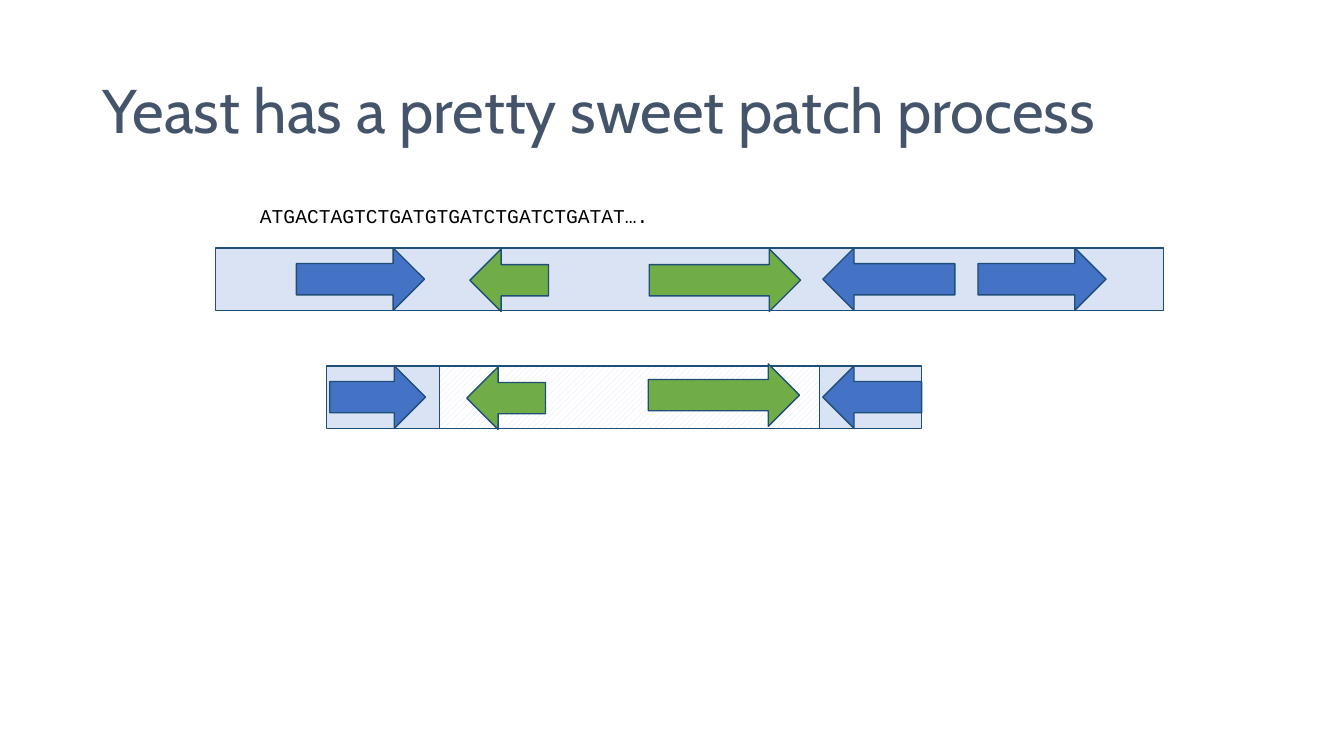
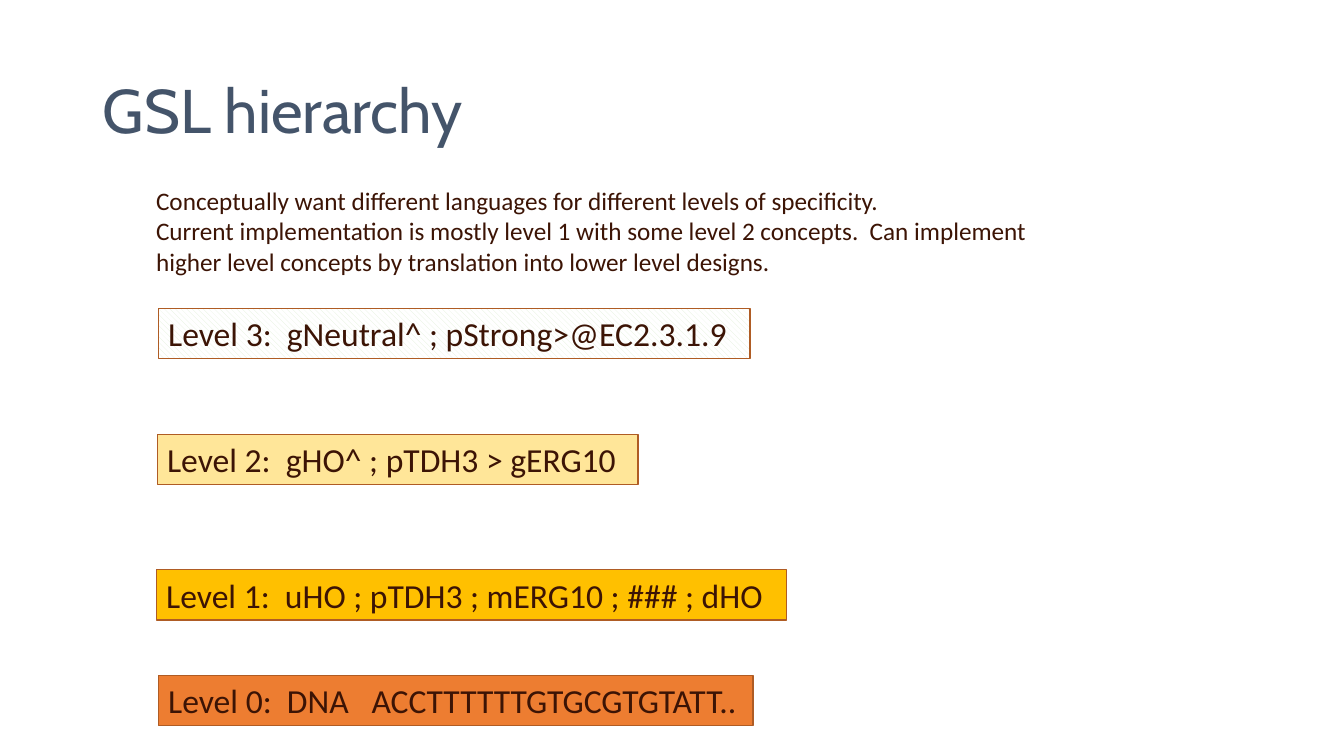
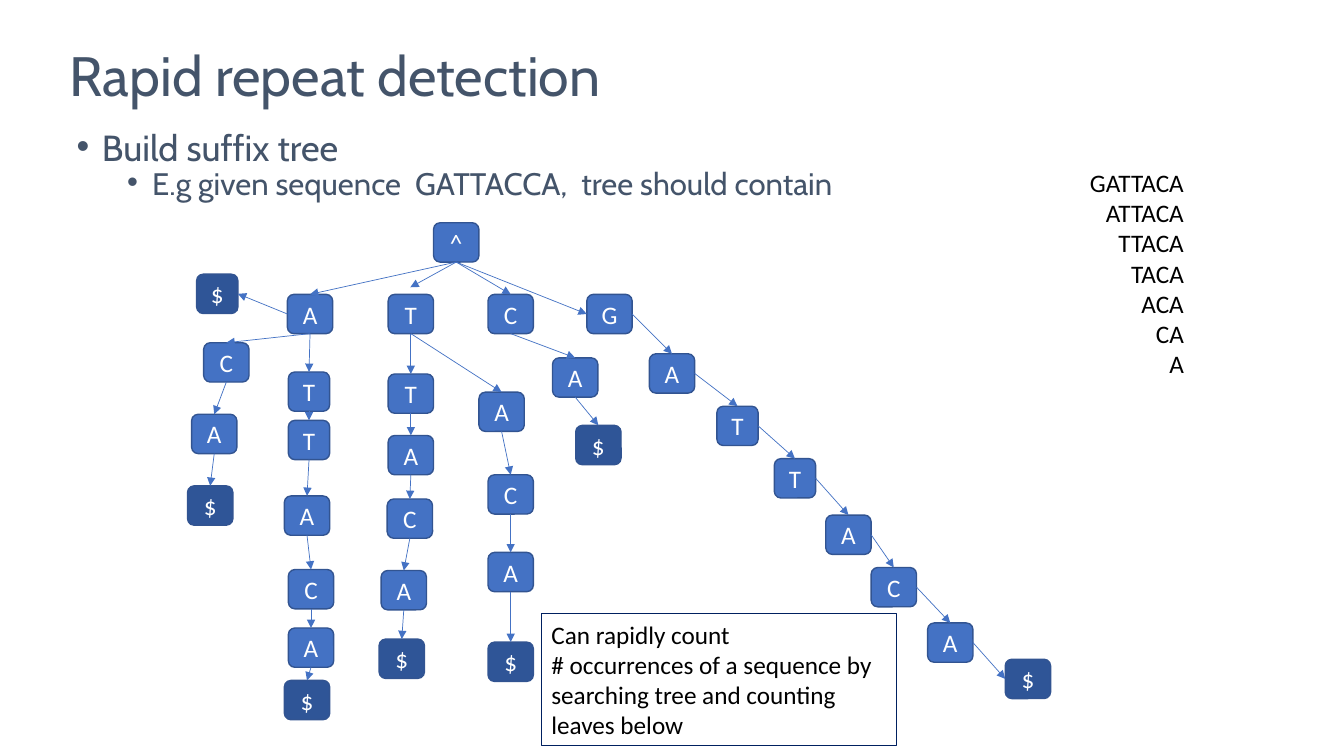
"""Build three slides on yeast patching, GSL levels and suffix trees."""
from dataclasses import dataclass

import lxml.etree
import pptx
import pptx.dml.color
import pptx.enum.dml
import pptx.enum.shapes
import pptx.enum.text
import pptx.oxml.ns
import pptx.util

Inches = pptx.util.Inches
SHAPE = pptx.enum.shapes.MSO_SHAPE
ALIGN = pptx.enum.text.PP_ALIGN
ANCHOR = pptx.enum.text.MSO_ANCHOR
PATTERN = pptx.enum.dml.MSO_PATTERN

HEADING_FONT, BODY_FONT, CODE_FONT = "Cabin", "Calibri", "Courier New"
SLATE, BLACK, WHITE, BROWN = "44546A", "000000", "FFFFFF", "3C1405"
BLUE, GREEN, PALE_BLUE, DARK_BLUE = "4472C4", "70AD47", "DAE3F3", "2F5597"
GENE_LINE, NODE_LINE, LEVEL_LINE, NOTE_LINE = "1F4E79", "325491", "AF5C24", "002060"
TOP, LEFT, BOTTOM, RIGHT = range(4)
GENE_HEIGHT = 0.62
NODE_HEIGHT = 0.39


@dataclass
class Gene:
    """An arrow on a stretch of DNA."""
    left: float
    top: float
    width: float
    color: str
    reverse: bool = False


@dataclass
class Level:
    """A labelled language level."""
    text: str
    left: float
    top: float
    width: float
    color: str
    pattern: PATTERN | None = None


@dataclass
class Node:
    """A tree node, named by the prefix that leads to it."""
    prefix: str
    left: float
    top: float
    width: float = 0.45
    leave: int = BOTTOM
    enter: int = TOP


GENES = [
    Gene(2.94, 2.46, 1.27, BLUE),
    Gene(8.16, 2.46, 1.31, BLUE, True),
    Gene(9.7, 2.46, 1.27, BLUE),
    Gene(4.66, 2.47, 0.78, GREEN, True),
    Gene(6.44, 2.47, 1.5, GREEN),
    Gene(3.27, 3.63, 0.95, BLUE),
    Gene(8.16, 3.63, 0.98, BLUE, True),
    Gene(4.63, 3.64, 0.78, GREEN, True),
    Gene(6.43, 3.61, 1.5, GREEN),
]

LEVELS = [
    Level("Level 3:  gNeutral^ ; pStrong>@EC2.3.1.9", 1.57, 3.06, 5.87, "E2F0D9",
          PATTERN.WIDE_DOWNWARD_DIAGONAL),
    Level("Level 2:  gHO^ ; pTDH3 > gERG10", 1.56, 4.31, 4.77, "FFE699"),
    Level("Level 1:  uHO ; pTDH3 ; mERG10 ; ### ; dHO", 1.55, 5.65, 6.25, "FFC000"),
    Level("Level 0:  DNA   ACCTTTTTTGTGCGTGTATT..", 1.57, 6.7, 5.9, "ED7D31"),
]

NODES = [
    Node("^", 4.3, 2.21),
    Node("^A", 2.85, 2.92),
    Node("^A$", 1.95, 2.72, 0.41, LEFT, RIGHT),
    Node("^AC", 2.02, 3.4),
    Node("^ACA", 1.9, 4.11),
    Node("^ACA$", 1.86, 4.82),
    Node("^AT", 2.86, 3.69, 0.41),
    Node("^ATT", 2.86, 4.17, 0.41),
    Node("^ATTA", 2.82, 4.92),
    Node("^ATTAC", 2.86, 5.65),
    Node("^ATTACA", 2.86, 6.23),
    Node("^ATTACA$", 2.82, 6.75),
    Node("^T", 3.85, 2.92),
    Node("^TT", 3.85, 3.71),
    Node("^TTA", 3.85, 4.32),
    Node("^TTAC", 3.84, 4.95),
    Node("^TTACA", 3.78, 5.66),
    Node("^TTACA$", 3.76, 6.34),
    Node("^TA", 4.75, 3.89),
    Node("^TAC", 4.84, 4.71),
    Node("^TACA", 4.84, 5.48),
    Node("^TACA$", 4.84, 6.37),
    Node("^C", 4.84, 2.92),
    Node("^CA", 5.48, 3.55),
    Node("^CA$", 5.71, 4.22),
    Node("^G", 5.82, 2.92, enter=LEFT),
    Node("^GA", 6.44, 3.51, leave=RIGHT),
    Node("^GAT", 7.11, 4.03, 0.41, RIGHT),
    Node("^GATT", 7.68, 4.55, 0.41, RIGHT),
    Node("^GATTA", 8.19, 5.11, leave=RIGHT),
    Node("^GATTAC", 8.64, 5.63, leave=RIGHT),
    Node("^GATTACA", 9.2, 6.18, leave=RIGHT),
    Node("^GATTACA$", 9.97, 6.54, leave=RIGHT, enter=LEFT),
]


def rgb(color: str) -> pptx.dml.color.RGBColor:
    """Turn a hex string into a colour."""
    return pptx.dml.color.RGBColor.from_string(color)


def style(p, size: float, color: str, font: str, align=ALIGN.LEFT) -> None:
    """Format a paragraph and its runs."""
    p.alignment = align
    for r in p.runs:
        r.font.size = pptx.util.Pt(size)
        r.font.name = font
        r.font.color.rgb = rgb(color)


def write(sp, text: str, size: float, color: str, font: str = BODY_FONT,
          align=ALIGN.LEFT, anchor=ANCHOR.TOP) -> None:
    """Fill a shape with uniform text."""
    tf = sp.text_frame
    tf.word_wrap = True
    tf.vertical_anchor = anchor
    tf.text = text
    for p in tf.paragraphs:
        style(p, size, color, font, align)


def place(sp, left: float, top: float, width: float, height: float) -> None:
    """Move and size a placeholder."""
    sp.left, sp.top = Inches(left), Inches(top)
    sp.width, sp.height = Inches(width), Inches(height)


def add_slide(prs, layout: int, title: str, box=(0.92, 0.4, 11.5, 1.45), size: float = 44):
    """Add a slide with the shared title style."""
    s = prs.slides.add_slide(prs.slide_layouts[layout])
    sp = s.shapes.title
    place(sp, *box)
    write(sp, title, size, SLATE, HEADING_FONT, anchor=ANCHOR.MIDDLE)
    sp.text_frame.auto_size = pptx.enum.text.MSO_AUTO_SIZE.NONE
    sp.text_frame.paragraphs[0].line_spacing = 0.9
    return s


def add_box(s, kind, left: float, top: float, width: float, height: float,
            fill: str | None, line: str, weight: float = 1, pattern=None):
    """Add a preset shape with a solid, patterned or empty fill."""
    sp = s.shapes.add_shape(kind, Inches(left), Inches(top), Inches(width), Inches(height))
    sp.shadow.inherit = False
    if fill is None:
        sp.fill.background()
    elif pattern is not None:
        sp.fill.patterned()
        sp.fill.pattern = pattern
        sp.fill.fore_color.rgb = rgb(fill)
        sp.fill.back_color.rgb = rgb(WHITE)
    else:
        sp.fill.solid()
        sp.fill.fore_color.rgb = rgb(fill)
    sp.line.color.rgb = rgb(line)
    sp.line.width = pptx.util.Pt(weight)
    return sp


def add_label(s, text: str, left: float, top: float, width: float, height: float,
              size: float, color: str, font: str = BODY_FONT, align=ALIGN.LEFT) -> None:
    """Add a plain text box."""
    sp = s.shapes.add_textbox(Inches(left), Inches(top), Inches(width), Inches(height))
    write(sp, text, size, color, font, align)


def add_edge(s, parent, child, node: Node) -> None:
    """Join a parent to its child with an arrow."""
    cx = s.shapes.add_connector(pptx.enum.shapes.MSO_CONNECTOR.STRAIGHT, 0, 0, 0, 0)
    cx.begin_connect(parent, node.leave)
    if node.prefix == "^T":
        cx.end_x, cx.end_y = Inches(4.07), Inches(2.85)
    else:
        cx.end_connect(child, node.enter)
    cx.line.color.rgb = rgb(BLUE)
    cx.line.width = pptx.util.Pt(0.5)
    qn = pptx.oxml.ns.qn
    pr = cx._element.spPr
    lxml.etree.SubElement(pr.find(qn("a:ln")), qn("a:tailEnd"), type="triangle")
    lxml.etree.SubElement(pr, qn("a:effectLst"))


def add_bullet(p, level: int, indent: float, size: float, before: float) -> None:
    """Format a paragraph as a bulleted list item."""
    p.level = level
    pr = p._p.get_or_add_pPr()
    pr.set("marL", str(Inches(indent)))
    pr.set("indent", str(Inches(-0.25)))
    lxml.etree.SubElement(pr, pptx.oxml.ns.qn("a:buChar"), char="•")
    p.line_spacing = 0.7
    p.space_before = pptx.util.Pt(before)
    style(p, size, SLATE, HEADING_FONT)


def build_patch(prs) -> None:
    """Draw the genome and the patch that replaces part of it."""
    s = add_slide(prs, 5, "Yeast has a pretty sweet patch process")
    add_label(s, "ATGACTAGTCTGATGTGATCTGATCTGATAT….", 2.48, 1.97, 4.08, 0.34, 14, BLACK, CODE_FONT)
    add_box(s, SHAPE.RECTANGLE, 2.14, 2.46, 9.4, GENE_HEIGHT, PALE_BLUE, GENE_LINE)
    add_box(s, SHAPE.RECTANGLE, 3.24, 3.63, 5.9, GENE_HEIGHT, PALE_BLUE, GENE_LINE)
    add_box(s, SHAPE.RECTANGLE, 4.36, 3.63, 3.77, GENE_HEIGHT, PALE_BLUE, GENE_LINE,
            pattern=PATTERN.WIDE_UPWARD_DIAGONAL)
    for gene in GENES:
        sp = add_box(s, SHAPE.RIGHT_ARROW, gene.left, gene.top, gene.width, GENE_HEIGHT,
                     gene.color, GENE_LINE)
        sp.rotation = 180 if gene.reverse else 0


def build_hierarchy(prs) -> None:
    """Draw the stack of language levels."""
    s = add_slide(prs, 5, "GSL hierarchy")
    add_label(s, "Conceptually want different languages for different levels of specificity.\n"
              "Current implementation is mostly level 1 with some level 2 concepts.  Can implement\n"
              "higher level concepts by translation into lower level designs.",
              1.45, 1.79, 9, 1.01, 18, BROWN)
    for level in LEVELS:
        sp = add_box(s, SHAPE.RECTANGLE, level.left, level.top, level.width, 0.5,
                     level.color, LEVEL_LINE, pattern=level.pattern)
        write(sp, level.text, 24, BROWN)


def build_tree(prs) -> None:
    """Draw the suffix tree with its list of suffixes."""
    s = add_slide(prs, 1, "Rapid repeat detection", (0.59, 0.4, 11.83, 0.76), 39.6)
    body = s.placeholders[1]
    place(body, 0.66, 1.31, 8.62, 1.09)
    tf = body.text_frame
    tf.auto_size = pptx.enum.text.MSO_AUTO_SIZE.NONE
    tf.text = "Build suffix tree\nE.g given sequence  GATTACCA,  tree should contain"
    add_bullet(tf.paragraphs[0], 0, 0.25, 25.9, 0)
    add_bullet(tf.paragraphs[1], 1, 0.75, 22.2, 5)

    sequence = "GATTACA"
    suffixes = "\n".join(sequence[i:] for i in range(len(sequence)))
    add_label(s, suffixes, 10.7, 1.61, 1.14, 2.22, 18, BLACK, align=ALIGN.RIGHT)

    drawn = {}
    for node in NODES:
        letter = node.prefix[-1]
        sp = add_box(s, SHAPE.ROUNDED_RECTANGLE, node.left, node.top, node.width, NODE_HEIGHT,
                     DARK_BLUE if letter == "$" else BLUE, NODE_LINE)
        write(sp, letter, 18, WHITE, align=ALIGN.CENTER, anchor=ANCHOR.MIDDLE)
        drawn[node.prefix] = sp
    for node in NODES[1:]:
        add_edge(s, drawn[node.prefix[:-1]], drawn[node.prefix], node)

    note = add_box(s, SHAPE.RECTANGLE, 5.37, 6.09, 3.52, 1.31, None, NOTE_LINE, 0.75)
    write(note, "Can rapidly count\n# occurrences of a sequence by\n"
          "searching tree and counting leaves below", 18, BLACK)


def main() -> None:
    """Build and save the presentation."""
    prs = pptx.Presentation()
    prs.slide_width, prs.slide_height = Inches(13.33), Inches(7.5)
    build_patch(prs)
    build_hierarchy(prs)
    build_tree(prs)
    prs.save("out.pptx")


if __name__ == "__main__":
    main()
